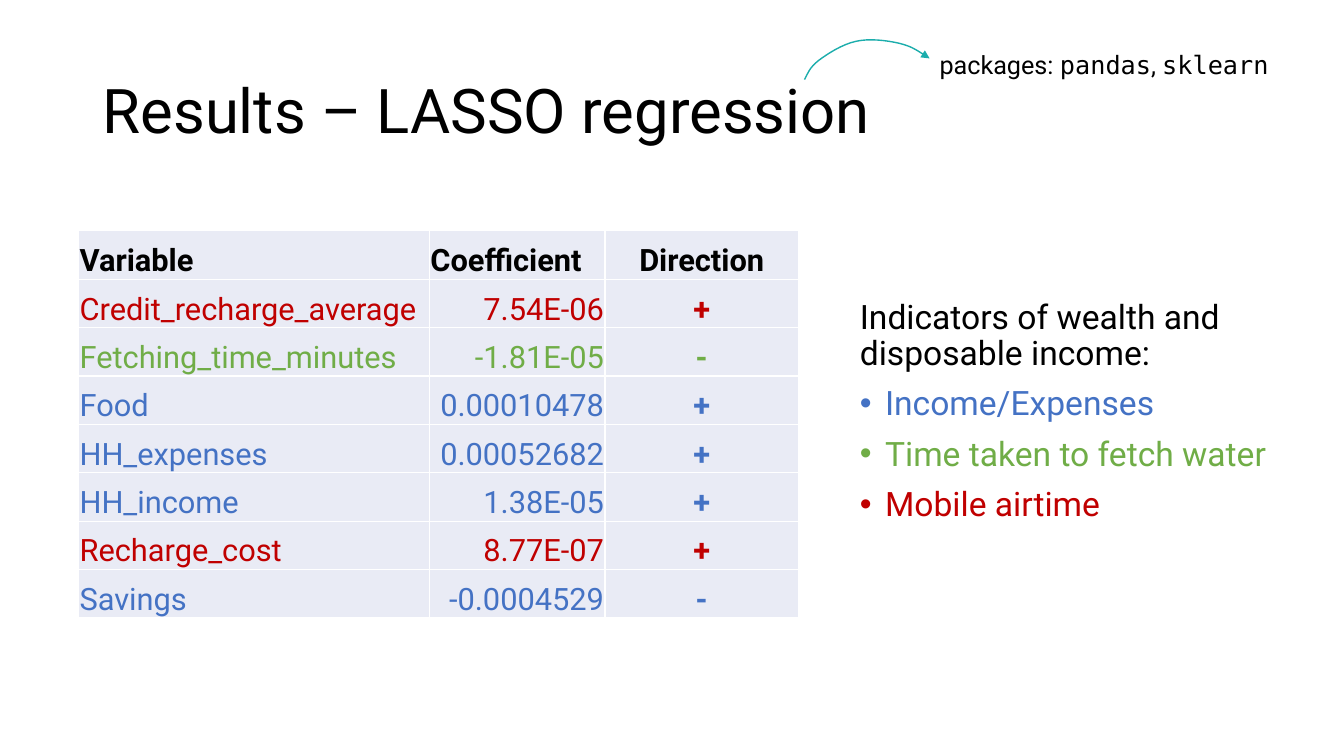
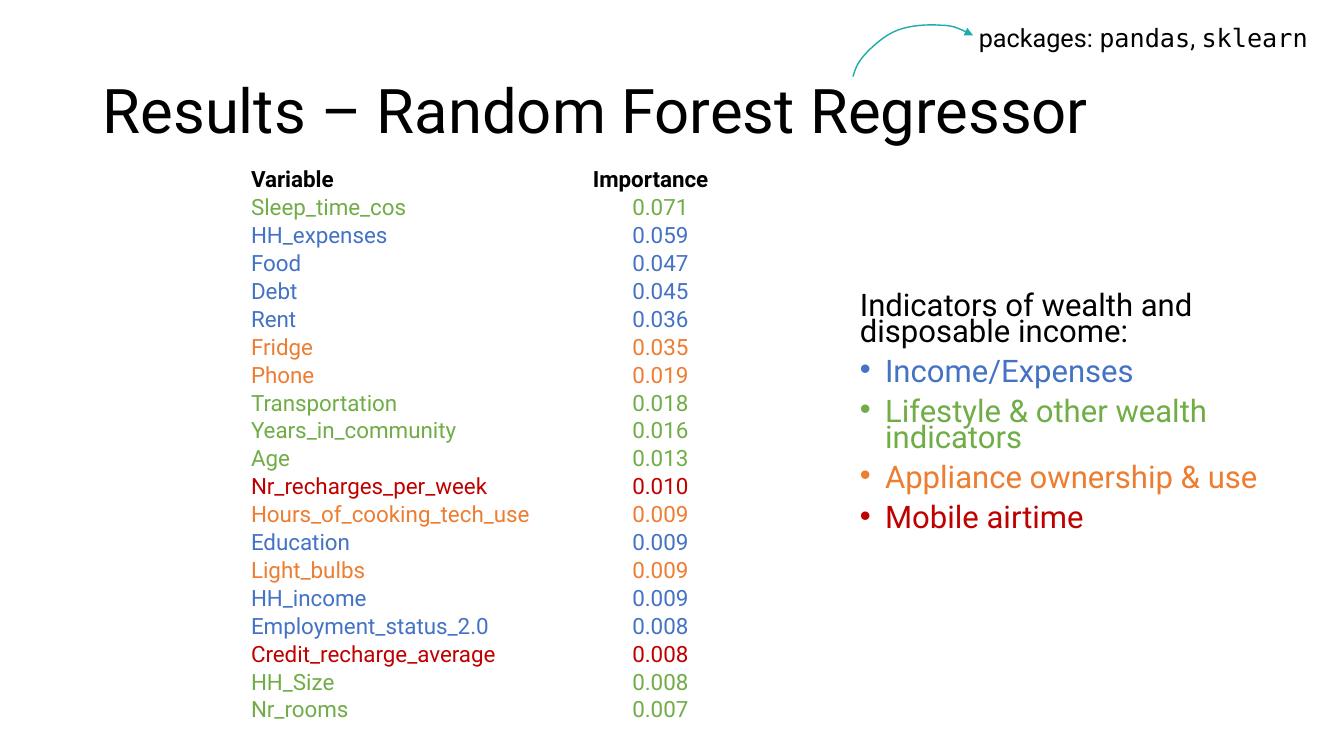
"""Build two slides of model results: LASSO regression and random forest."""
from lxml import etree
from pptx import Presentation
from pptx import util as u
from pptx.dml.color import RGBColor
from pptx.enum import text
from pptx.oxml.ns import qn

BLACK = RGBColor(0x00, 0x00, 0x00)
WHITE = RGBColor(0xFF, 0xFF, 0xFF)
BAND = RGBColor(0xE9, 0xEB, 0xF5)
TEAL = RGBColor(0x1B, 0xAD, 0xAC)
BLUE = RGBColor(0x44, 0x72, 0xC4)
GREEN = RGBColor(0x70, 0xAD, 0x47)
ORANGE = RGBColor(0xED, 0x7D, 0x31)
RED = RGBColor(0xC0, 0x00, 0x00)
FONT, CODE_FONT = "Roboto", "DejaVu Sans Mono"
LEFT, CENTER, RIGHT = text.PP_ALIGN.LEFT, text.PP_ALIGN.CENTER, text.PP_ALIGN.RIGHT

RESULTS = [
    {
        "title": "Results – LASSO regression",
        "table": (0.78, 2.29), "widths": (3.48, 1.74, 1.92), "row_height": 0.48,
        "fill": BAND, "size": 22,
        "header": ("Variable", "Coefficient", "Direction"),
        "header_align": (LEFT, LEFT, CENTER), "align": (LEFT, RIGHT, CENTER),
        "rows": [
            (RED, "Credit_recharge_average", "7.54E-06", "+"),
            (GREEN, "Fetching_time_minutes", "-1.81E-05", "-"),
            (BLUE, "Food", "0.00010478", "+"),
            (BLUE, "HH_expenses", "0.00052682", "+"),
            (BLUE, "HH_income", "1.38E-05", "+"),
            (RED, "Recharge_cost", "8.77E-07", "+"),
            (BLUE, "Savings", "-0.0004529", "-"),
        ],
        "body_top": 2.93, "body_size": 24, "body_spacing": 0.9,
        "indicators": [
            (BLUE, "Income/Expenses"),
            (GREEN, "Time taken to fetch water"),
            (RED, "Mobile airtime"),
        ],
        "packages": (9.22, 0.47),
        "arrow": [(7.98, 0.79), (8.01, 0.73), (8.03, 0.67), (8.12, 0.6), (8.2, 0.54),
                  (8.35, 0.44), (8.49, 0.41), (8.62, 0.38), (8.79, 0.4), (8.92, 0.43),
                  (9.04, 0.46), (9.13, 0.52), (9.22, 0.58)],
    },
    {
        "title": "Results – Random Forest Regressor",
        "table": (2.48, 1.64), "widths": (3.39, 1.36), "row_height": 0.23,
        "fill": WHITE, "size": 16,
        "header": ("Variable", "Importance"),
        "header_align": (LEFT, LEFT), "align": (LEFT, CENTER),
        "rows": [
            (GREEN, "Sleep_time_cos", "0.071"),
            (BLUE, "HH_expenses", "0.059"),
            (BLUE, "Food", "0.047"),
            (BLUE, "Debt", "0.045"),
            (BLUE, "Rent", "0.036"),
            (ORANGE, "Fridge", "0.035"),
            (ORANGE, "Phone", "0.019"),
            (GREEN, "Transportation", "0.018"),
            (GREEN, "Years_in_community", "0.016"),
            (GREEN, "Age", "0.013"),
            (RED, "Nr_recharges_per_week", "0.010"),
            (ORANGE, "Hours_of_cooking_tech_use", "0.009"),
            (BLUE, "Education", "0.009"),
            (ORANGE, "Light_bulbs", "0.009"),
            (BLUE, "HH_income", "0.009"),
            (BLUE, "Employment_status_2.0", "0.008"),
            (RED, "Credit_recharge_average", "0.008"),
            (GREEN, "HH_Size", "0.008"),
            (GREEN, "Nr_rooms", "0.007"),
        ],
        "body_top": 2.88, "body_size": 22.2, "body_spacing": 0.7,
        "indicators": [
            (BLUE, "Income/Expenses"),
            (GREEN, "Lifestyle & other wealth indicators"),
            (ORANGE, "Appliance ownership & use"),
            (RED, "Mobile airtime"),
        ],
        "packages": (9.61, 0.21),
        "arrow": [(8.46, 0.76), (8.48, 0.69), (8.5, 0.63), (8.57, 0.55), (8.64, 0.47),
                  (8.77, 0.35), (8.9, 0.3), (9.03, 0.25), (9.2, 0.24), (9.33, 0.25),
                  (9.45, 0.25), (9.55, 0.3), (9.65, 0.35)],
    },
]


def add_text_frame(slide, left, top, width, height):
    box = slide.shapes.add_textbox(*map(u.Inches, (left, top, width, height)))
    box.text_frame.word_wrap = True
    return box.text_frame


def format_paragraph(paragraph, size, colour=BLACK, bold=False, spacing=None, before=0):
    paragraph.line_spacing = spacing
    paragraph.space_before = u.Pt(before)
    for run in paragraph.runs:
        run.font.name = FONT
        run.font.size = u.Pt(size)
        run.font.bold = bold
        run.font.color.rgb = colour


presentation = Presentation()
presentation.slide_width, presentation.slide_height = u.Inches(13.33), u.Inches(7.5)

for result in RESULTS:
    slide = presentation.slides.add_slide(presentation.slide_layouts[6])

    frame = add_text_frame(slide, 0.92, 0.4, 11.5, 1.45)
    frame.vertical_anchor = text.MSO_ANCHOR.MIDDLE
    frame.text = result["title"]
    format_paragraph(frame.paragraphs[0], 44, spacing=0.9)

    rows = [(BLACK, *result["header"]), *result["rows"]]
    widths, row_height = result["widths"], result["row_height"]
    position = (*result["table"], sum(widths), row_height * len(rows))
    table = slide.shapes.add_table(len(rows), len(widths), *map(u.Inches, position)).table
    table.first_row = table.horz_banding = False
    for column, width in zip(table.columns, widths):
        column.width = u.Inches(width)
    for row_index, (colour, *values) in enumerate(rows):
        is_header = row_index == 0
        table.rows[row_index].height = u.Inches(row_height)
        alignments = result["header_align" if is_header else "align"]
        for column_index, value in enumerate(values):
            cell = table.cell(row_index, column_index)
            cell.margin_left = cell.margin_right = cell.margin_top = u.Inches(0.01)
            cell.margin_bottom = 0
            cell.vertical_anchor = text.MSO_ANCHOR.BOTTOM
            properties = cell._tc.get_or_add_tcPr()
            for side in ("a:lnL", "a:lnR", "a:lnT", "a:lnB"):
                border = etree.SubElement(properties, qn(side), w=str(u.Pt(1)))
                border_fill = etree.SubElement(border, qn("a:solidFill"))
                etree.SubElement(border_fill, qn("a:srgbClr"), val=str(WHITE))
            cell.fill.solid()
            cell.fill.fore_color.rgb = result["fill"]
            cell.text_frame.text = value
            paragraph = cell.text_frame.paragraphs[0]
            paragraph.alignment = alignments[column_index]
            format_paragraph(paragraph, result["size"], colour, is_header or column_index == 2)

    frame = add_text_frame(slide, 8.43, result["body_top"], 4.43, 2.56)
    frame.text = "Indicators of wealth and disposable income:"
    body_style = {"spacing": result["body_spacing"], "before": 10}
    format_paragraph(frame.paragraphs[0], result["body_size"], **body_style)
    for colour, indicator in result["indicators"]:
        paragraph = frame.add_paragraph()
        paragraph.text = indicator
        format_paragraph(paragraph, result["body_size"], colour, **body_style)
        properties = paragraph._p.get_or_add_pPr()
        properties.set("marL", str(u.Inches(0.25)))
        properties.set("indent", str(-u.Inches(0.25)))
        etree.SubElement(properties, qn("a:buFont"), typeface="Arial")
        etree.SubElement(properties, qn("a:buChar"), char="•")

    start, *controls = [(u.Inches(x), u.Inches(y)) for x, y in result["arrow"]]
    builder = slide.shapes.build_freeform(*start)
    builder.add_line_segments(controls, close=False)
    arrow = builder.convert_to_shape()
    arrow.shadow.inherit = False
    arrow.fill.background()
    arrow.line.color.rgb = TEAL
    arrow.line.width = u.Pt(1)
    etree.SubElement(arrow.element.xpath(".//a:ln")[0], qn("a:tailEnd"), type="triangle")
    outline = arrow.element.xpath(".//a:path")[0]
    segments = outline.xpath("./a:lnTo")
    for first in range(0, len(segments), 3):
        curve = etree.SubElement(outline, qn("a:cubicBezTo"))
        for segment in segments[first:first + 3]:
            curve.append(segment[0])
            outline.remove(segment)

    frame = add_text_frame(slide, *result["packages"], 4.01, 1.21)
    paragraph = frame.paragraphs[0]
    for part in ("packages: ", "pandas", ", ", "sklearn"):
        paragraph.add_run().text = part
    format_paragraph(paragraph, 18, spacing=0.9, before=10)
    for run in paragraph.runs[1::2]:
        run.font.name = CODE_FONT

presentation.save("out.pptx")
